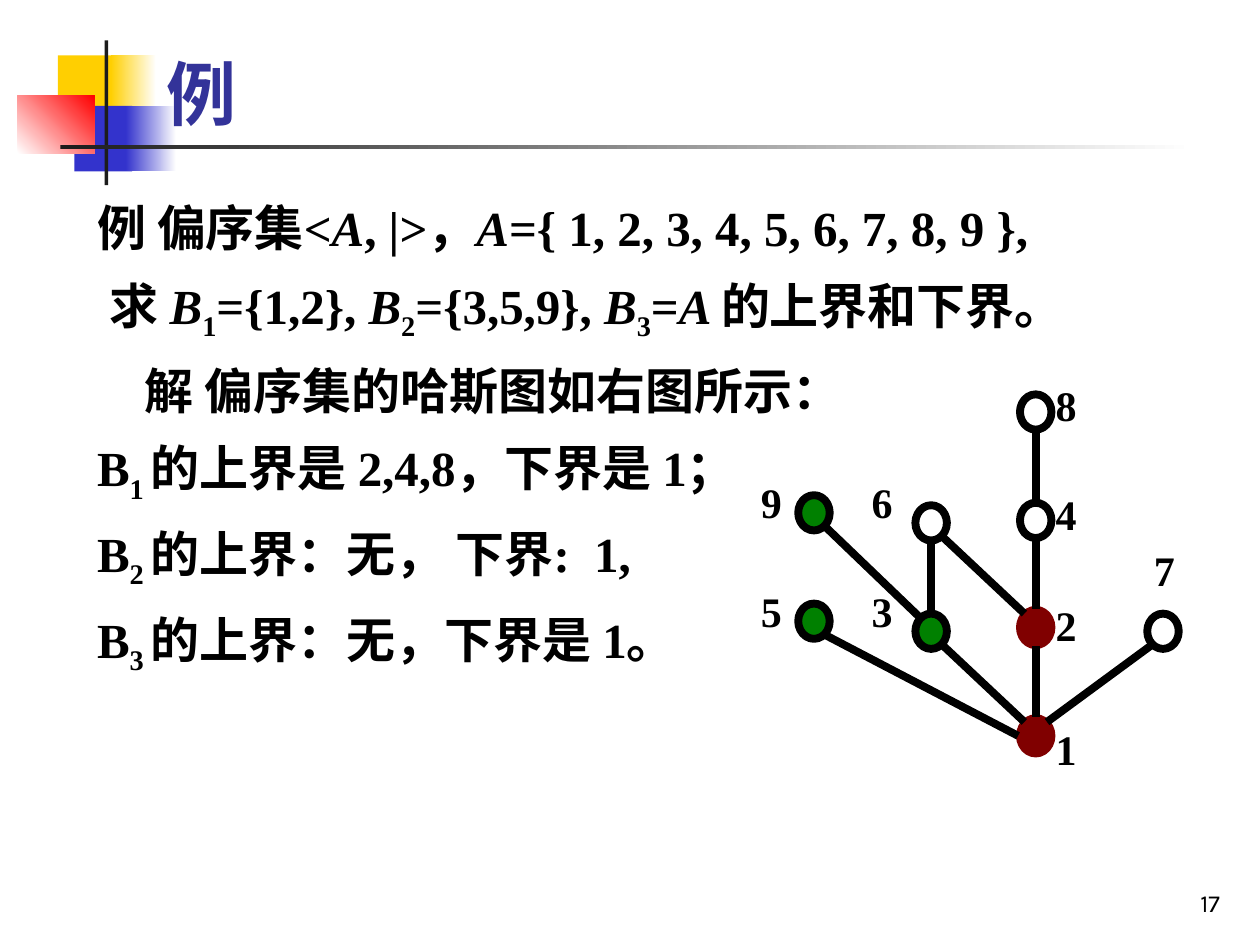
from lxml import etree
from pptx import Presentation
from pptx.dml.color import RGBColor
from pptx.enum import shapes, text
from pptx.oxml import ns
from pptx.util import Inches, Pt

BLACK = RGBColor(0x00, 0x00, 0x00)
WHITE = RGBColor(0xFF, 0xFF, 0xFF)
CHARCOAL = RGBColor(0x1C, 0x1C, 0x1C)
YELLOW = RGBColor(0xFF, 0xCF, 0x01)
BLUE = RGBColor(0x33, 0x33, 0xCC)
RED = RGBColor(0xFF, 0x00, 0x00)
INDIGO = RGBColor(0x33, 0x33, 0x99)
GREEN = RGBColor(0x00, 0x80, 0x00)
MAROON = RGBColor(0x80, 0x00, 0x00)
SERIF, CJK, SANS = "Times New Roman", "Noto Sans CJK SC", "Karla"

TITLE = "例"
PAGE = "17"

# left, top, width, height, colours (two make a gradient), gradient angle
DECOR = [
    (0.46, 0.44, 0.48, 0.52, [YELLOW], 0),
    (0.88, 0.44, 0.36, 0.52, [YELLOW, WHITE], 0),
    (0.59, 0.84, 0.46, 0.52, [BLUE], 0),
    (1.0, 0.84, 0.4, 0.52, [BLUE, WHITE], 0),
    (0.14, 0.76, 0.61, 0.46, [WHITE, RED], 45),
    (0.83, 0.32, 0.03, 1.15, [CHARCOAL], 0),
    (0.48, 1.15, 9, 0.03, [CHARCOAL, WHITE], 0),
]

# first-line offset in inches, then (text, style) runs
BODY = [
    (0, [("例 偏序集<", ""), ("A", "italic"), (", ", ""), ("|", "italic"),
         (">，", ""), ("A", "italic"),
         ("={ 1, 2, 3, 4, 5, 6, 7, 8, 9 },", "")]),
    (0.1, [("求 ", ""), ("B", "italic"), ("1", "sub"), ("={1,2}, ", ""),
           ("B", "italic"), ("2", "sub"), ("={3,5,9}, ", ""),
           ("B", "italic"), ("3", "sub"), ("=", ""), ("A ", "italic"),
           ("的上界和下界。", "")]),
    (0.38, [("解 ", ""), ("偏序集的哈斯图如右图所示：", "cjk")]),
    (0, [("B", ""), ("1 ", "sub"), ("的上界是 2,4,8，下界是 1；", "")]),
    (0, [("B", ""), ("2 ", "sub"), ("的上界：无， 下界:  1,", "")]),
    (0, [("B", ""), ("3 ", "sub"), ("的上界：无，下界是 1。", "")]),
]
HANG = 0.38

# node: centre x, centre y, fill, outline, label left, label top
NODES = {
    "8": (8.22, 3.27, None, BLACK, 8.28, 2.92),
    "4": (8.22, 4.13, None, BLACK, 8.28, 3.79),
    "2": (8.22, 4.98, MAROON, MAROON, 8.28, 4.67),
    "1": (8.22, 5.84, MAROON, MAROON, 8.28, 5.65),
    "6": (7.39, 4.15, None, BLACK, 6.82, 3.69),
    "3": (7.39, 5.01, GREEN, BLACK, 6.82, 4.56),
    "9": (6.46, 4.07, GREEN, BLACK, 5.94, 3.69),
    "5": (6.46, 4.93, GREEN, BLACK, 5.94, 4.56),
    "7": (9.23, 5.01, None, BLACK, 9.06, 4.23),
}
EDGES = ["17", "12", "24", "48", "26", "13", "36", "39", "15"]  # lower, upper
NODE_W, NODE_H = 0.25, 0.28
LABEL_W, LABEL_H = 0.58, 0.54
STROKE = Pt(4.5)


def style_run(r, size, color, bold=True, font=SERIF):
    r.font.size, r.font.bold, r.font.name = Pt(size), bold, font
    r.font.color.rgb = color
    latin = r.font._element.find(ns.qn("a:latin"))
    ea = etree.Element(ns.qn("a:ea"), typeface=CJK)
    latin.addnext(ea)


def place(sp, left, top, width, height):
    sp.left, sp.top = Inches(left), Inches(top)
    sp.width, sp.height = Inches(width), Inches(height)


def add_decor(s, left, top, width, height, colors, angle):
    sp = s.shapes.add_shape(shapes.MSO_SHAPE.RECTANGLE, Inches(left),
                            Inches(top), Inches(width), Inches(height))
    sp.shadow.inherit = False
    sp.line.fill.background()
    if len(colors) == 1:
        sp.fill.solid()
        sp.fill.fore_color.rgb = colors[0]
        return
    sp.fill.gradient()
    sp.fill.gradient_angle = angle
    for stop, color in zip(sp.fill.gradient_stops, colors):
        stop.color.rgb = color


def add_text(parent, box, content, size, **style):
    tb = parent.add_textbox(*map(Inches, box))
    tf = tb.text_frame
    tf.word_wrap = True
    tf.text = content
    style_run(tf.paragraphs[0].runs[0], size, BLACK, **style)
    return tf


def fill_body(sp):
    tf = sp.text_frame
    tf.auto_size = text.MSO_AUTO_SIZE.NONE
    tf.vertical_anchor = text.MSO_ANCHOR.TOP
    for i, (offset, runs) in enumerate(BODY):
        p = tf.add_paragraph() if i else tf.paragraphs[0]
        pPr = p._p.get_or_add_pPr()
        pPr.set("marL", str(Inches(HANG)))
        pPr.set("indent", str(Inches(offset - HANG)))
        etree.SubElement(pPr, ns.qn("a:buNone"))
        p.line_spacing = 1.1
        p.space_before = Pt(7 if i else 0)
        for content, kind in runs:
            r = p.add_run()
            r.text = content
            style_run(r, 28, BLACK, font=CJK if kind == "cjk" else SERIF)
            r.font.italic = kind == "italic"
            if kind == "sub":
                r.font._element.set("baseline", "-25000")


def add_node(group, x, y, fill, outline):
    sp = group.add_shape(shapes.MSO_SHAPE.OVAL, Inches(x - NODE_W / 2),
                         Inches(y - NODE_H / 2), Inches(NODE_W), Inches(NODE_H))
    sp.shadow.inherit = False
    if fill is None:
        sp.fill.background()
    else:
        sp.fill.solid()
        sp.fill.fore_color.rgb = fill
    sp.line.color.rgb = outline
    sp.line.width = STROKE


def edge_ends(lower, upper):
    """Trim a centre-to-centre edge; a shallow one meets the lower node's side."""
    (x1, y1), (x2, y2) = NODES[lower][:2], NODES[upper][:2]
    if x1 == x2:
        return x1, y1 - 0.15, x2, y2 + 0.15
    side = 1 if x2 > x1 else -1
    shallow = abs(y2 - y1) < 0.6 * abs(x2 - x1)
    dx, dy = (0.14, 0) if shallow else (0.09, 0.11)
    return x1 + side * dx, y1 - dy, x2 - side * 0.09, y2 + 0.11


def add_edge(group, lower, upper):
    line = group.add_connector(shapes.MSO_CONNECTOR.STRAIGHT,
                               *map(Inches, edge_ends(lower, upper)))
    line.line.color.rgb = BLACK
    line.line.width = STROKE
    etree.SubElement(line._element.spPr, ns.qn("a:effectLst"))


def add_hasse_diagram(s):
    group = s.shapes.add_group_shape().shapes
    for x, y, fill, outline, _, _ in NODES.values():
        add_node(group, x, y, fill, outline)
    for lower, upper in EDGES:
        add_edge(group, lower, upper)
    for name, (*_, left, top) in NODES.items():
        tf = add_text(group, (left, top, LABEL_W, LABEL_H), name, 24)
        tf.paragraphs[0].line_spacing = 1.1


def main():
    prs = Presentation()
    prs.slide_width, prs.slide_height = Inches(10), Inches(7.5)
    s = prs.slides.add_slide(prs.slide_layouts[1])
    title, body = s.placeholders
    for decor in DECOR:
        add_decor(s, *decor)
    s.shapes._spTree.extend([title._element, body._element])  # bring to front

    place(title, 1.22, 0.28, 8.52, 0.84)
    tf = title.text_frame
    tf.text = TITLE
    tf.auto_size = text.MSO_AUTO_SIZE.NONE
    tf.vertical_anchor = text.MSO_ANCHOR.BOTTOM
    tf.paragraphs[0].alignment = text.PP_ALIGN.LEFT
    style_run(tf.paragraphs[0].runs[0], 40, INDIGO)

    place(body, 0.67, 1.47, 8.98, 3.95)
    fill_body(body)
    add_hasse_diagram(s)

    tf = add_text(s.shapes, (7.7, 6.83, 2.08, 0.5), PAGE, 14,
                  bold=False, font=SANS)
    tf.vertical_anchor = text.MSO_ANCHOR.BOTTOM
    tf.paragraphs[0].alignment = text.PP_ALIGN.RIGHT
    prs.save("out.pptx")


if __name__ == "__main__":
    main()
